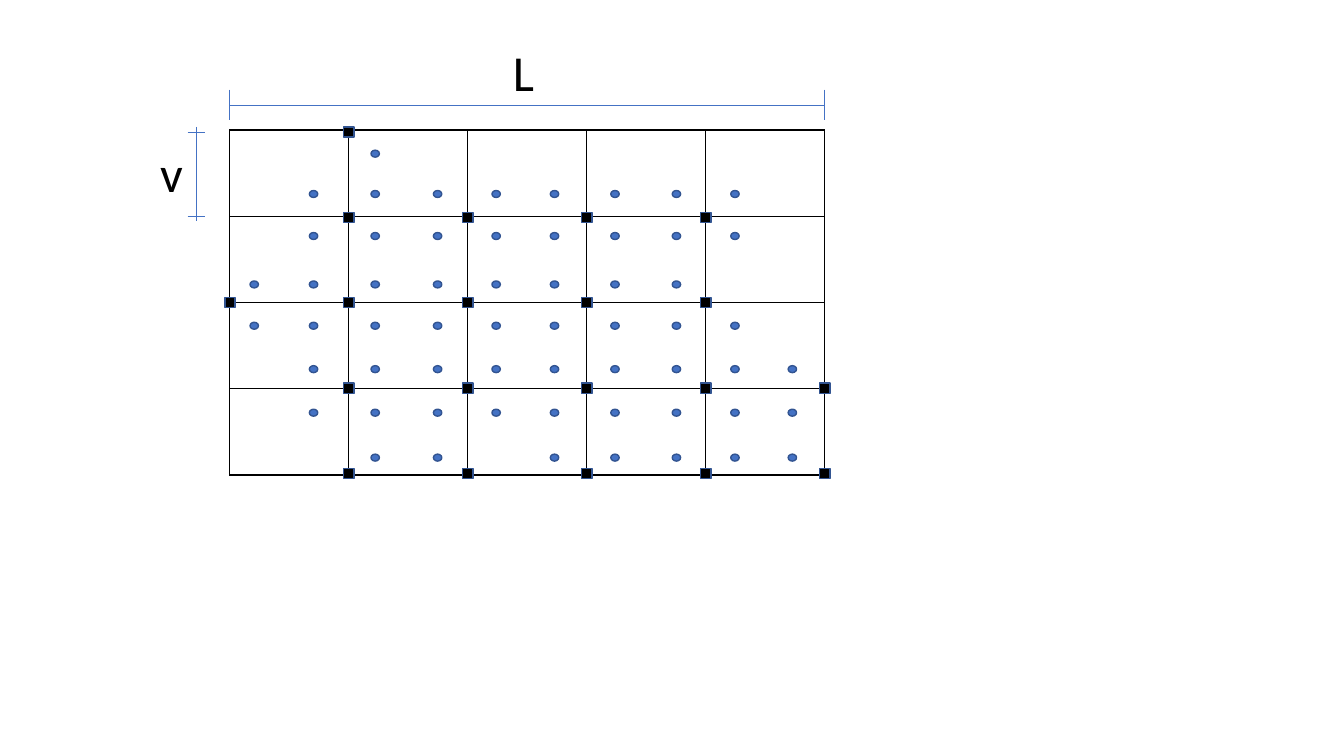
from lxml.etree import SubElement
from pptx import Presentation
from pptx.dml.color import RGBColor
from pptx.enum.shapes import MSO_CONNECTOR, MSO_SHAPE
from pptx.enum.text import MSO_AUTO_SIZE, PP_ALIGN
from pptx.oxml.ns import qn
from pptx.util import Pt

COLORS = {"ink": "000000", "blue": "4472C4", "edge": "325491"}
LEFT, TOP = 164.2, 92.9
COLS, ROWS = 5, 4
CELL_W, CELL_H = 85, 61.6
RIGHT = LEFT + COLS * CELL_W

# Dot columns (left edges), then each dot row: top edge and pattern
DOT_X = [178.6, 221, 265, 309.6, 351.4, 393.1, 436.3, 480.2, 522, 563]
DOT_ROWS = [
    (107.3, "..x......."),
    (136.1, ".xxxxxxxx."),
    (166.1, ".xxxxxxxx."),
    (200.7, "xxxxxxxx.."),
    (230.2, "xxxxxxxxx."),
    (261.2, ".xxxxxxxxx"),
    (292.3, ".xxxxxxxxx"),
    (324.4, "..xx.xxxxx"),
]
# Grid nodes that carry a black square, row by row
NODES = [".x....", ".xxxx.", "xxxxx.", ".xxxxx", ".xxxxx"]
NODE_TOP, NODE_GAP = 94.3, 61


def color(name):
    """Return the named colour."""
    return RGBColor.from_string(COLORS[name])


def add_border(cell):
    """Give a cell no fill and a thin line on all sides."""
    props = cell._tc.get_or_add_tcPr()
    for side in ("lnL", "lnR", "lnT", "lnB"):
        line = SubElement(props, qn(f"a:{side}"), w=str(Pt(1)))
        fill = SubElement(line, qn("a:solidFill"))
        SubElement(fill, qn("a:srgbClr"), val=COLORS["ink"])
    cell.fill.background()


def add_grid(slide):
    """Add the empty table."""
    frame = slide.shapes.add_table(ROWS, COLS, Pt(LEFT), Pt(TOP),
                                   Pt(COLS * CELL_W), Pt(ROWS * CELL_H))
    table = frame.table
    table.first_row = table.horz_banding = False
    for col in table.columns:
        col.width = Pt(CELL_W)
    for row in table.rows:
        row.height = Pt(CELL_H)
    for cell in table.iter_cells():
        add_border(cell)


def add_mark(slide, kind, x, y, w, h, fill):
    """Add a small filled shape with a dark blue edge."""
    mark = slide.shapes.add_shape(kind, Pt(x), Pt(y), Pt(w), Pt(h))
    mark.shadow.inherit = False
    mark.fill.solid()
    mark.fill.fore_color.rgb = color(fill)
    mark.line.color.rgb = color("edge")
    mark.line.width = Pt(1)


def add_line(slide, x1, y1, x2, y2):
    """Add a thin blue measure line."""
    line = slide.shapes.add_connector(MSO_CONNECTOR.STRAIGHT,
                                      Pt(x1), Pt(y1), Pt(x2), Pt(y2))
    line.line.color.rgb = color("blue")
    line.line.width = Pt(0.5)
    SubElement(line._element.spPr, qn("a:effectLst"))


def add_text(slide, text, x, y, w, h, *, size=36, font="Calibri",
             ink="ink", align=PP_ALIGN.CENTER):
    """Add a text box with one formatted run."""
    box = slide.shapes.add_textbox(Pt(x), Pt(y), Pt(w), Pt(h))
    frame = box.text_frame
    frame.word_wrap = False
    frame.auto_size = MSO_AUTO_SIZE.SHAPE_TO_FIT_TEXT
    para = frame.paragraphs[0]
    para.alignment = align
    run = para.add_run()
    run.text = text
    run.font.size = Pt(size)
    run.font.name = font
    run.font.color.rgb = color(ink)


def add_dots(slide):
    """Add the blue dots inside the cells."""
    for y, row in DOT_ROWS:
        for x, sign in zip(DOT_X, row):
            if sign == "x":
                add_mark(slide, MSO_SHAPE.OVAL, x, y, 6, 5, "blue")


def add_nodes(slide):
    """Add the black squares on the grid nodes."""
    side = 7.2
    for r, row in enumerate(NODES):
        for c, sign in enumerate(row):
            if sign == "x":
                add_mark(slide, MSO_SHAPE.RECTANGLE,
                         LEFT + c * CELL_W - side / 2,
                         NODE_TOP + r * NODE_GAP - side / 2,
                         side, side, "ink")


def add_sizes(slide):
    """Add the measure lines and labels for length and row height."""
    add_line(slide, LEFT, 75.6, RIGHT, 75.6)
    for x in (LEFT, RIGHT):
        add_line(slide, x, 64, x, 86)
    add_text(slide, "L", 359.3, 25.9, 28, 51)
    add_line(slide, 140.4, 90.7, 140.4, 157.7)
    for y in (NODE_TOP, NODE_TOP + NODE_GAP - 0.5):
        add_line(slide, 134, y, 146.8, y)
    add_text(slide, "v", 107.3, 97.9, 28, 51)


def main():
    """Build the slide and save it."""
    deck = Presentation()
    deck.slide_width, deck.slide_height = Pt(960), Pt(540)
    slide = deck.slides.add_slide(deck.slide_layouts[6])
    add_grid(slide)
    add_dots(slide)
    add_nodes(slide)
    add_sizes(slide)
    deck.save("out.pptx")


main()
